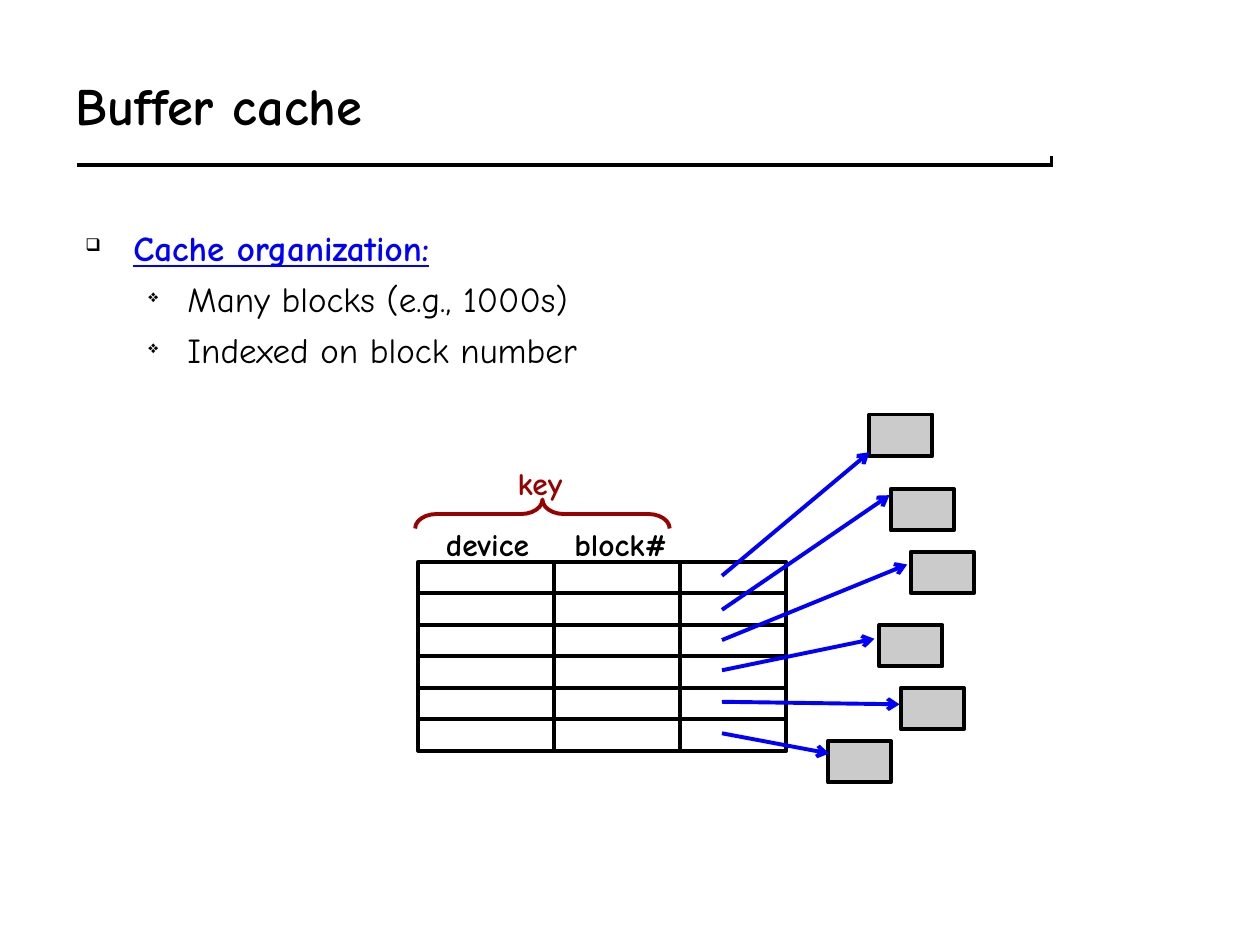
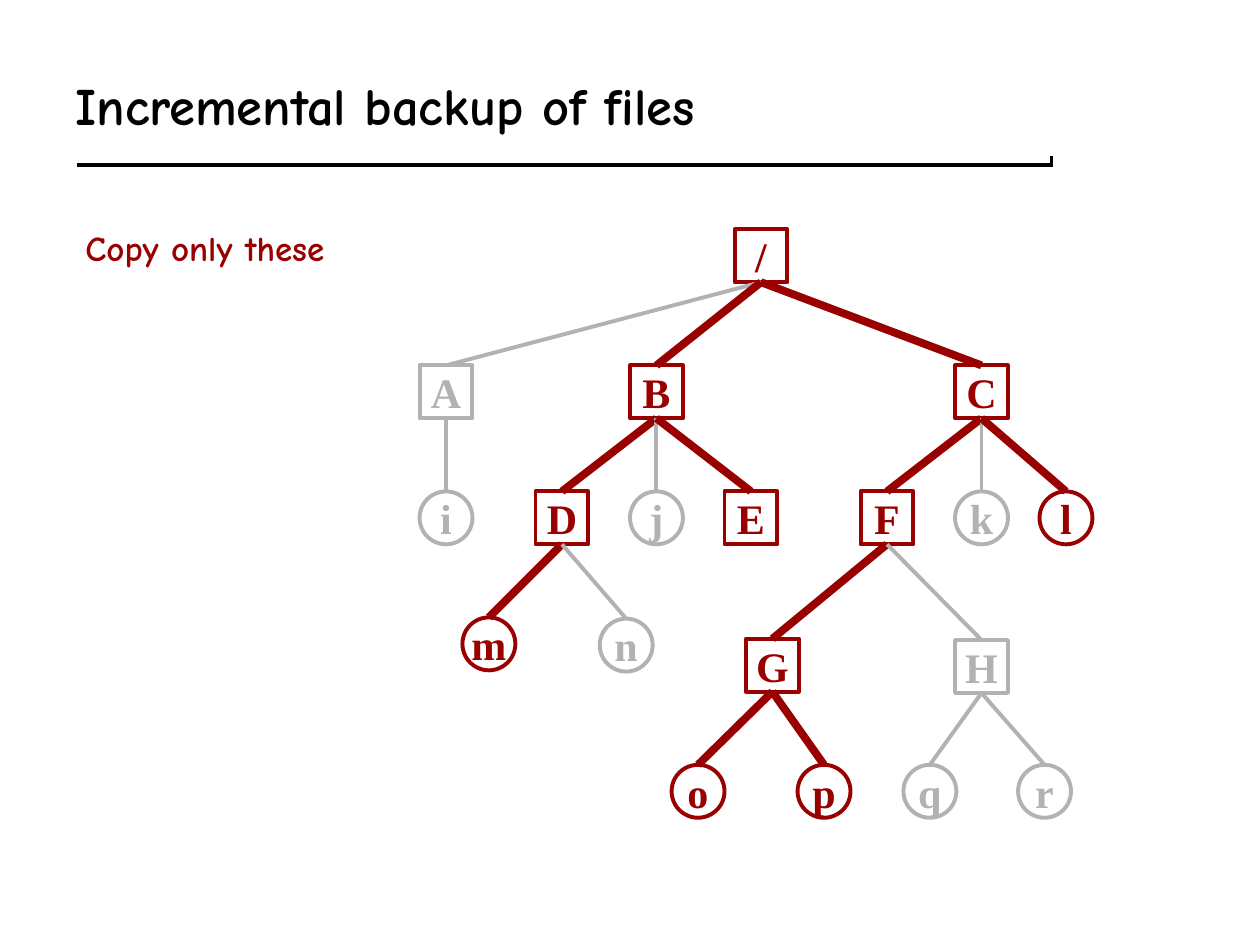
from lxml import etree
from pptx import Presentation
from pptx.dml.color import RGBColor
from pptx.enum.shapes import MSO_CONNECTOR, MSO_SHAPE
from pptx.enum.text import MSO_ANCHOR, PP_ALIGN
from pptx.oxml.ns import qn
from pptx.util import Inches, Pt

STRAIGHT = MSO_CONNECTOR.STRAIGHT
RECTANGLE, OVAL, BRACE = MSO_SHAPE.RECTANGLE, MSO_SHAPE.OVAL, MSO_SHAPE.LEFT_BRACE
MIDDLE, TOP = MSO_ANCHOR.MIDDLE, MSO_ANCHOR.TOP
CENTER, LEFT = PP_ALIGN.CENTER, PP_ALIGN.LEFT
SIDE_TOP, SIDE_BOTTOM = 0, 2

COLORS = {"black": "000000", "white": "FFFFFF", "blue": "0000FF",
          "red": "990000", "faded": "B2B2B2", "block": "CBCBCB"}
BODY_FONT, NODE_FONT = "Comic Neue", "Times New Roman"
THIN, THICK, RULE = 2.25, 4.5, 6

TITLE_AREA = (0.5, 0.33, 8.58, 1)
BODY_AREA = (0.58, 1.75, 8.5, 4.92)
TITLE_RULES = [(0.61, 1.28, "black"), (0.58, 1.25, "white")]
RULE_LENGTH = 7.75

CACHE_TITLE = "Buffer cache"
CACHE_HEADING = "Cache organization:"
CACHE_POINTS = ["Many blocks (e.g., 1000s)", "Indexed on block number"]
KEY_LABEL = "key"
KEY_COLUMNS = "device\tblock#"
BLOCK_COLUMN_TAB = 1.02
INDEX_LEFT, INDEX_TOP, INDEX_WIDTH = 3.32, 4.46, 2.92
INDEX_ROWS, ROW_HEIGHT = 6, 0.25
COLUMN_EDGES = [4.4, 5.4]
POINTER_LEFT = 5.73
BLOCK_SIZE = (0.5, 0.33)
CACHED_BLOCKS = [
    ((6.9, 3.29), 4.57, (6.9, 3.59)),
    ((7.07, 3.88), 4.84, (7.06, 3.93)),
    ((7.23, 4.38), 5.08, (7.2, 4.48)),
    ((6.98, 4.96), 5.32, (6.94, 5.07)),
    ((7.15, 5.46), 5.57, (7.14, 5.59)),
    ((6.57, 5.88), 5.82, (6.58, 5.98)),
]

BACKUP_TITLE = "Incremental backup of files"
BACKUP_NOTE = "Copy only these"
NODE_SIZE = 0.42
CHANGED = set("/BCDEFGlmop")
FILE_TREE = [
    ("/", None, 5.83, 1.82),
    ("A", "/", 3.33, 2.9), ("B", "/", 5, 2.9), ("C", "/", 7.58, 2.9),
    ("i", "A", 3.33, 3.9),
    ("D", "B", 4.25, 3.9), ("j", "B", 5, 3.9), ("E", "B", 5.75, 3.9),
    ("F", "C", 6.83, 3.9), ("k", "C", 7.58, 3.9), ("l", "C", 8.25, 3.9),
    ("m", "D", 3.67, 4.9), ("n", "D", 4.76, 4.91),
    ("G", "F", 5.92, 5.07), ("H", "F", 7.58, 5.08),
    ("o", "G", 5.33, 6.07), ("p", "G", 6.33, 6.07),
    ("q", "H", 7.17, 6.07), ("r", "H", 8.08, 6.07),
]


def color(name):
    return RGBColor.from_string(COLORS[name])


def inches(values):
    return [Inches(value) for value in values]


def add_run(paragraph, text, size, ink, font=BODY_FONT, bold=True, underline=False):
    run = paragraph.add_run()
    run.text = text
    run.font.name = font
    run.font.size = Pt(size)
    run.font.bold = bold
    run.font.underline = underline
    run.font.color.rgb = color(ink)


def add_frame(slide, area, anchor=TOP):
    frame = slide.shapes.add_textbox(*inches(area)).text_frame
    frame.word_wrap = True
    frame.vertical_anchor = anchor
    return frame


def add_label(slide, area, text, size, ink, anchor=TOP):
    paragraph = add_frame(slide, area, anchor).paragraphs[0]
    paragraph.alignment = LEFT
    add_run(paragraph, text, size, ink)
    return paragraph


def set_bullet(paragraph, mark, margin, hang):
    properties = paragraph._p.get_or_add_pPr()
    properties.set("marL", str(Inches(margin)))
    properties.set("indent", str(-Inches(hang)))
    bullet_color = etree.SubElement(properties, qn("a:buClr"))
    etree.SubElement(bullet_color, qn("a:srgbClr"), val=COLORS["black"])
    etree.SubElement(properties, qn("a:buSzPct"), val="50000")
    etree.SubElement(properties, qn("a:buChar"), char=mark)


def add_line(slide, start, end, ink, width, arrow=False):
    line = slide.shapes.add_connector(STRAIGHT, *inches((*start, *end)))
    line.line.color.rgb = color(ink)
    line.line.width = Pt(width)
    properties = line.element.spPr
    if arrow:
        etree.SubElement(properties.find(qn("a:ln")), qn("a:tailEnd"), type="arrow")
    etree.SubElement(properties, qn("a:effectLst"))
    return line


def add_outline(slide, kind, area, ink, fill=None):
    shape = slide.shapes.add_shape(kind, *inches(area))
    shape.shadow.inherit = False
    if fill:
        shape.fill.solid()
        shape.fill.fore_color.rgb = color(fill)
    else:
        shape.fill.background()
    shape.line.color.rgb = color(ink)
    shape.line.width = Pt(THIN)
    return shape


def add_titled_slide(deck, title):
    slide = deck.slides.add_slide(deck.slide_layouts[6])
    for left, top, ink in TITLE_RULES:
        add_line(slide, (left, top), (left + RULE_LENGTH, top), ink, RULE)
    add_label(slide, TITLE_AREA, title, 30, "black", MIDDLE)
    return slide


def add_index(slide):
    height = INDEX_ROWS * ROW_HEIGHT
    add_outline(slide, RECTANGLE, (INDEX_LEFT, INDEX_TOP, INDEX_WIDTH, height), "black")
    for edge in COLUMN_EDGES:
        add_line(slide, (edge, INDEX_TOP), (edge, INDEX_TOP + height), "black", THIN)
    for row in range(1, INDEX_ROWS):
        y = INDEX_TOP + row * ROW_HEIGHT
        add_line(slide, (INDEX_LEFT, y), (INDEX_LEFT + INDEX_WIDTH, y), "black", THIN)


def build_cache_slide(deck):
    slide = add_titled_slide(deck, CACHE_TITLE)
    body = add_frame(slide, BODY_AREA)
    heading = body.paragraphs[0]
    set_bullet(heading, "❑", 0.38, 0.38)
    add_run(heading, CACHE_HEADING, 20, "blue", underline=True)
    for text in CACHE_POINTS:
        point = body.add_paragraph()
        point.level = 1
        set_bullet(point, "❖", 0.81, 0.31)
        point.space_before = Pt(5)
        add_run(point, text, 20, "black", bold=False)

    columns = add_label(slide, (3.44, 4.12, 2.05, 0.4), KEY_COLUMNS, 18, "black")
    tabs = etree.SubElement(columns._p.get_or_add_pPr(), qn("a:tabLst"))
    etree.SubElement(tabs, qn("a:tab"), pos=str(Inches(BLOCK_COLUMN_TAB)), algn="l")
    add_index(slide)
    brace = add_outline(slide, BRACE, (4.19, 3.07, 0.23, 2.02), "red")
    brace.rotation = 90
    brace.adjustments[0] = 0.74
    add_label(slide, (4.01, 3.63, 0.7, 0.4), KEY_LABEL, 18, "red")

    for corner, _, _ in CACHED_BLOCKS:
        add_outline(slide, RECTANGLE, (*corner, *BLOCK_SIZE), "black", "block")
    for _, pointer_y, target in CACHED_BLOCKS:
        add_line(slide, (POINTER_LEFT, pointer_y), target, "blue", THIN, arrow=True)


def add_node(slide, name, left, top):
    ink = "red" if name in CHANGED else "faded"
    kind = OVAL if name.islower() else RECTANGLE
    node = add_outline(slide, kind, (left, top, NODE_SIZE, NODE_SIZE), ink)
    frame = node.text_frame
    frame.word_wrap = False
    frame.vertical_anchor = MIDDLE
    frame.paragraphs[0].alignment = CENTER
    add_run(frame.paragraphs[0], name, 24, ink, NODE_FONT)
    return node


def build_backup_slide(deck):
    slide = add_titled_slide(deck, BACKUP_TITLE)
    add_label(slide, BODY_AREA, BACKUP_NOTE, 20, "red")
    nodes = {name: add_node(slide, name, left, top)
             for name, _, left, top in FILE_TREE}
    for name, parent, _, _ in FILE_TREE:
        if parent:
            ink, width = ("red", THICK) if name in CHANGED else ("faded", THIN)
            edge = add_line(slide, (0, 0), (0, 0), ink, width)
            edge.begin_connect(nodes[parent], SIDE_BOTTOM)
            edge.end_connect(nodes[name], SIDE_TOP)


def main():
    deck = Presentation()
    deck.slide_width, deck.slide_height = Inches(10), Inches(7.5)
    build_cache_slide(deck)
    build_backup_slide(deck)
    deck.save("out.pptx")


if __name__ == "__main__":
    main()
